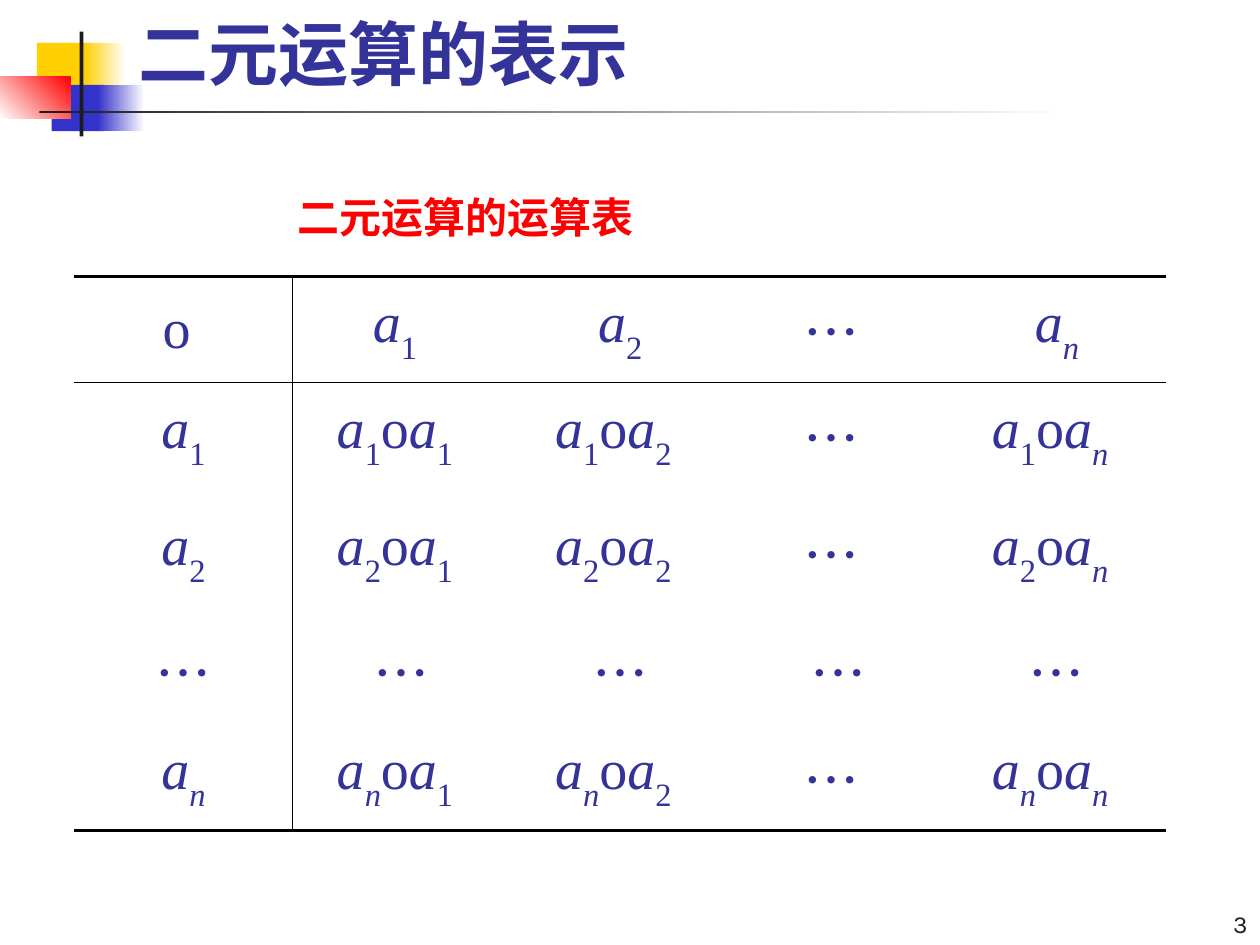
import pptx
import pptx.util
import pptx.dml.color
import pptx.enum.shapes
import pptx.enum.text
import pptx.oxml
import pptx.oxml.ns
from lxml import etree

Pt = pptx.util.Pt
RGBColor = pptx.dml.color.RGBColor
ALIGN = pptx.enum.text.PP_ALIGN
ANCHOR = pptx.enum.text.MSO_ANCHOR
qn = pptx.oxml.ns.qn

NAVY = RGBColor(0x33, 0x33, 0x99)
RED = RGBColor(0xFF, 0, 0)
YELLOW = RGBColor(0xFF, 0xCF, 0x01)
BLUE = RGBColor(0x33, 0x33, 0xCC)
INK = RGBColor(0x1C, 0x1C, 0x1C)
BLACK = RGBColor(0, 0, 0)
WHITE = RGBColor(0xFF, 0xFF, 0xFF)

SERIF = "Times New Roman"
CJK = "Noto Sans CJK SC"
NUMBER_FONT = "Karla"
ROW_HEIGHTS = [60.5, 60.5, 73.5, 61, 61]
INDICES = ["1", "2", "…", "n"]


def format_run(r, size, font, color, bold=False, italic=False):
    r.font.size, r.font.name = Pt(size), font
    r.font.bold, r.font.italic = bold, italic
    r.font.color.rgb = color
    ea = etree.SubElement(r.font._element, qn("a:ea"))
    ea.set("typeface", CJK)


def add_block(s, box, color, end=None, angle=0):
    """A borderless rectangle, plain or fading from color to end."""
    sp = s.shapes.add_shape(pptx.enum.shapes.MSO_SHAPE.RECTANGLE, *map(Pt, box))
    sp.shadow.inherit = False
    sp.line.fill.background()
    if end is None:
        sp.fill.solid()
        sp.fill.fore_color.rgb = color
    else:
        sp.fill.gradient()
        sp.fill.gradient_angle = angle
        for stop, rgb in zip(sp.fill.gradient_stops, (color, end)):
            stop.color.rgb = rgb


def add_emblem(s, x, y):
    """Coloured blocks with a crossing bar and rule."""
    add_block(s, (x + 21, y + 6.5, 31.5, 27.5), YELLOW)
    add_block(s, (x + 48, y + 6.5, 24, 27.5), YELLOW, WHITE)
    add_block(s, (x + 29.5, y + 30.5, 30, 26.5), BLUE)
    add_block(s, (x + 56, y + 30.5, 26.5, 26.5), BLUE, WHITE)
    add_block(s, (x, y + 26, 40.5, 24), WHITE, RED, 45)
    add_block(s, (x + 45.5, y, 2.2, 60), INK)
    add_block(s, (x + 22.5, y + 45.5, 590, 1.2), INK, WHITE)


def add_text(s, box, text, anchor, align, indent=7.2):
    sp = s.shapes.add_textbox(*map(Pt, box))
    tf = sp.text_frame
    tf.word_wrap = True
    tf.vertical_anchor = anchor
    tf.margin_left = Pt(indent)
    tf.text = text
    tf.paragraphs[0].alignment = align
    return tf.paragraphs[0].runs[0]


def place_title(s, box, text):
    sp = s.shapes.title
    sp.left, sp.top, sp.width, sp.height = map(Pt, box)
    tf = sp.text_frame
    tf.text = text
    tf.vertical_anchor = ANCHOR.MIDDLE
    p = tf.paragraphs[0]
    p.alignment = ALIGN.LEFT
    r = p.runs[0]
    format_run(r, 40, CJK, NAVY, bold=True)
    # Text shadow, which must follow the fill
    shadow = pptx.oxml.parse_xml(
        '<a:effectLst xmlns:a="http://schemas.openxmlformats.org/drawingml/2006/main">'
        '<a:outerShdw dist="35921" dir="2700000"><a:srgbClr val="000000"/>'
        '</a:outerShdw></a:effectLst>')
    r.font._element.find(qn("a:solidFill")).addnext(shadow)


def set_borders(cell, **widths):
    """Draw the given sides; every other side stays without a line."""
    tcPr = cell._tc.get_or_add_tcPr()
    for i, side in enumerate("LRTB"):
        ln = etree.Element(qn("a:ln" + side))
        if side in widths:
            ln.set("w", str(Pt(widths[side])))
            fill = etree.SubElement(ln, qn("a:solidFill"))
            etree.SubElement(fill, qn("a:srgbClr")).set("val", str(BLACK))
        else:
            etree.SubElement(ln, qn("a:noFill"))
        tcPr.insert(i, ln)


def cell_parts(row, col):
    """Text pieces of a cell: letters a, their indices and the operator."""
    names = [INDICES[k - 1] for k in (row, col) if k]
    if "…" in names:
        return ["…"]
    parts = []
    for name in names:
        parts += ["ο", "a", name] if parts else ["a", name]
    return parts or ["ο"]


def fill_cell(cell, row, col):
    cell.fill.background()
    cell.vertical_anchor = ANCHOR.MIDDLE
    cell.margin_top = cell.margin_bottom = 0
    # Most operation cells sit slightly left of centre
    centred = row == 3 or (col == 0 and row > 0) or (row == 0 and col in (2, 4))
    cell.margin_right = Pt(7.2 if centred else 15.2)
    p = cell.text_frame.paragraphs[0]
    p.alignment = ALIGN.CENTER
    p.space_before = Pt(6.4)
    for part in cell_parts(row, col):
        r = p.add_run()
        r.text = part
        format_run(r, 32, CJK if part == "…" else SERIF, NAVY, italic=part in ("a", "n"))
        if part in ("1", "2", "n"):
            r.font._element.set("baseline", "-30000")


def add_operation_table(s, x, y, width):
    n = len(ROW_HEIGHTS)
    frame = s.shapes.add_table(n, n, Pt(x), Pt(y), Pt(width), Pt(sum(ROW_HEIGHTS)))
    table = frame.table
    table.first_row = table.horz_banding = False
    # Plain table style without grid
    table._tbl.tblPr[0].text = "{2D5ABB26-0587-4C30-8999-92F81FD0307C}"
    for i, height in enumerate(ROW_HEIGHTS):
        table.columns[i].width = Pt(width / n)
        table.rows[i].height = Pt(height)
    for row in range(n):
        for col in range(n):
            cell = table.cell(row, col)
            fill_cell(cell, row, col)
            sides = {}
            if row == 0:
                sides.update(T=2.25, B=1)
            elif row == 1:
                sides["T"] = 1
            elif row == n - 1:
                sides["B"] = 2.25
            if col < 2:
                sides["RL"[col]] = 1
            set_borders(cell, **sides)


def main():
    prs = pptx.Presentation()
    prs.slide_width, prs.slide_height = Pt(720), Pt(540)
    s = prs.slides.add_slide(prs.slide_layouts[5])

    add_emblem(s, 0, 18)
    place_title(s, (72, 0, 648, 60), "二元运算的表示")

    # Table caption
    r = add_text(s, (151, 106, 376.5, 36), "二元运算的运算表", ANCHOR.TOP, ALIGN.LEFT, 19.2)
    format_run(r, 24, SERIF, RED, bold=True)

    add_operation_table(s, 42.5, 158, 624)

    # Page number
    r = add_text(s, (672, 516, 48, 24), "3", ANCHOR.BOTTOM, ALIGN.RIGHT)
    format_run(r, 14, NUMBER_FONT, INK)

    prs.save("out.pptx")


if __name__ == "__main__":
    main()
